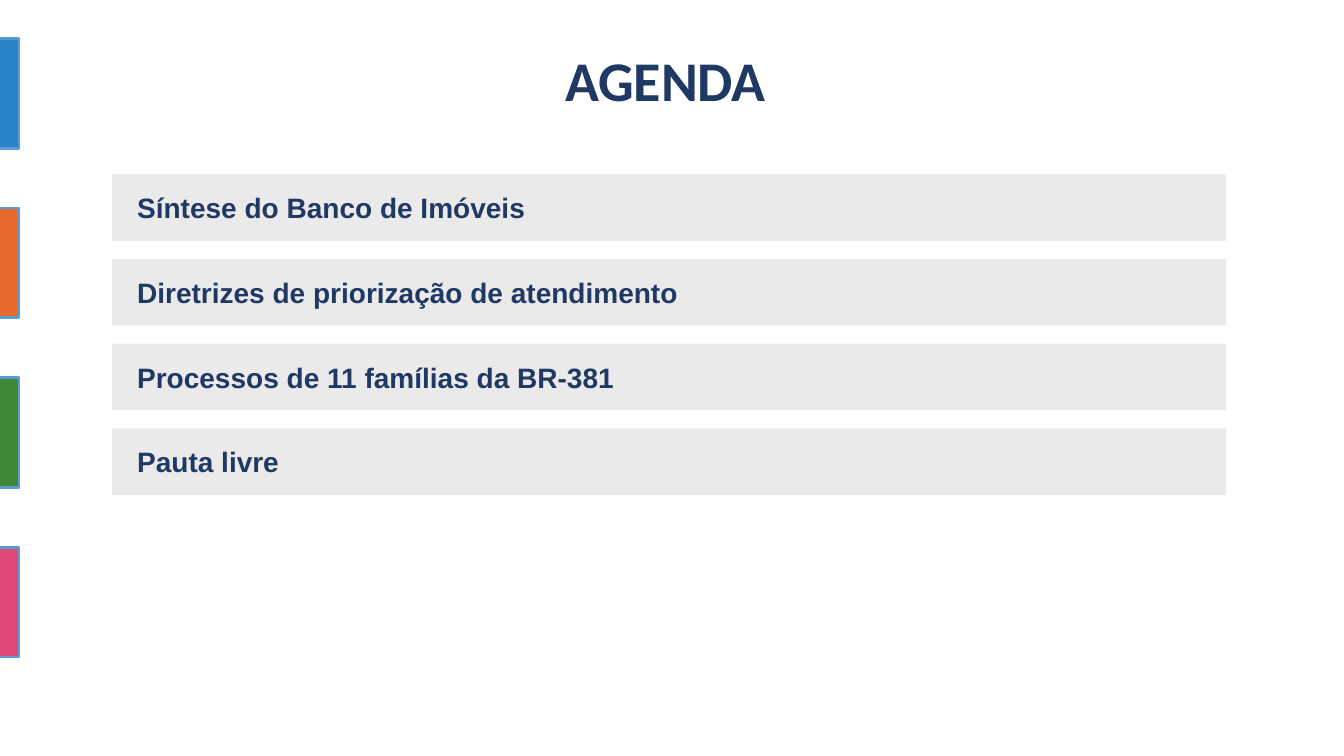
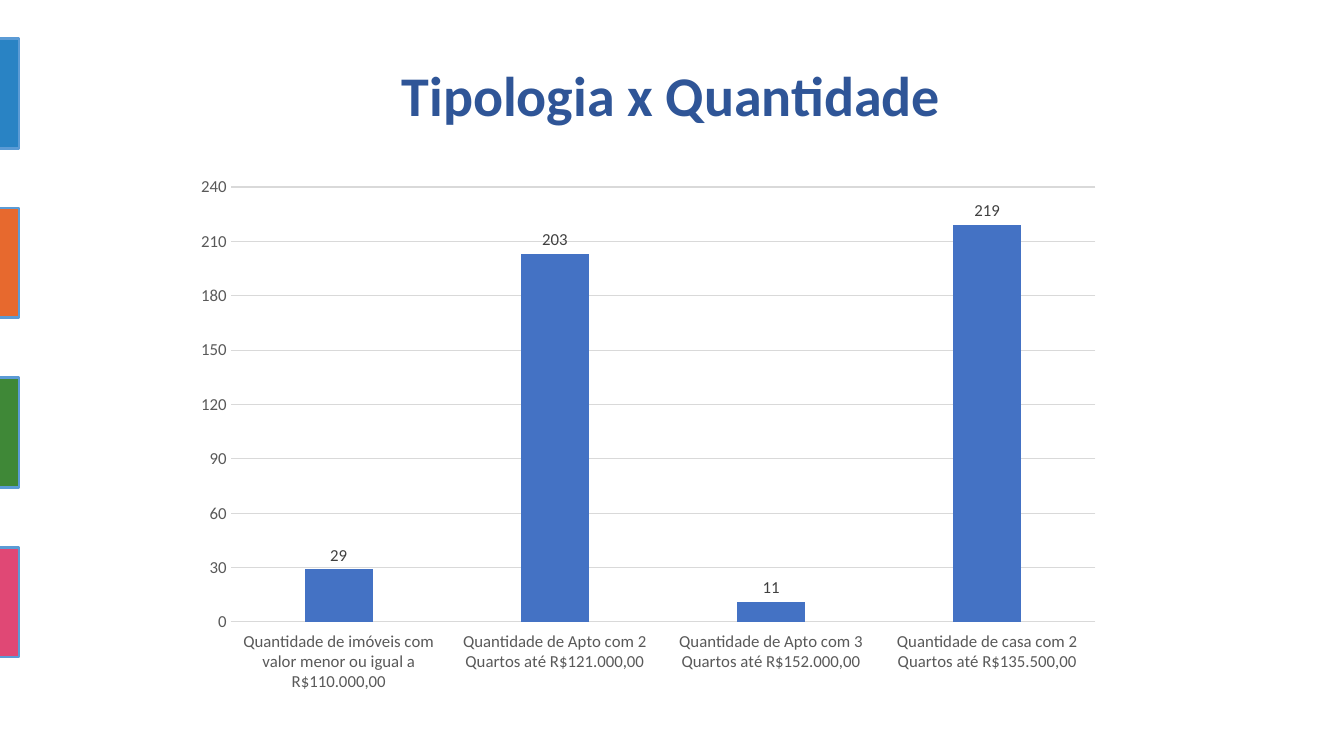
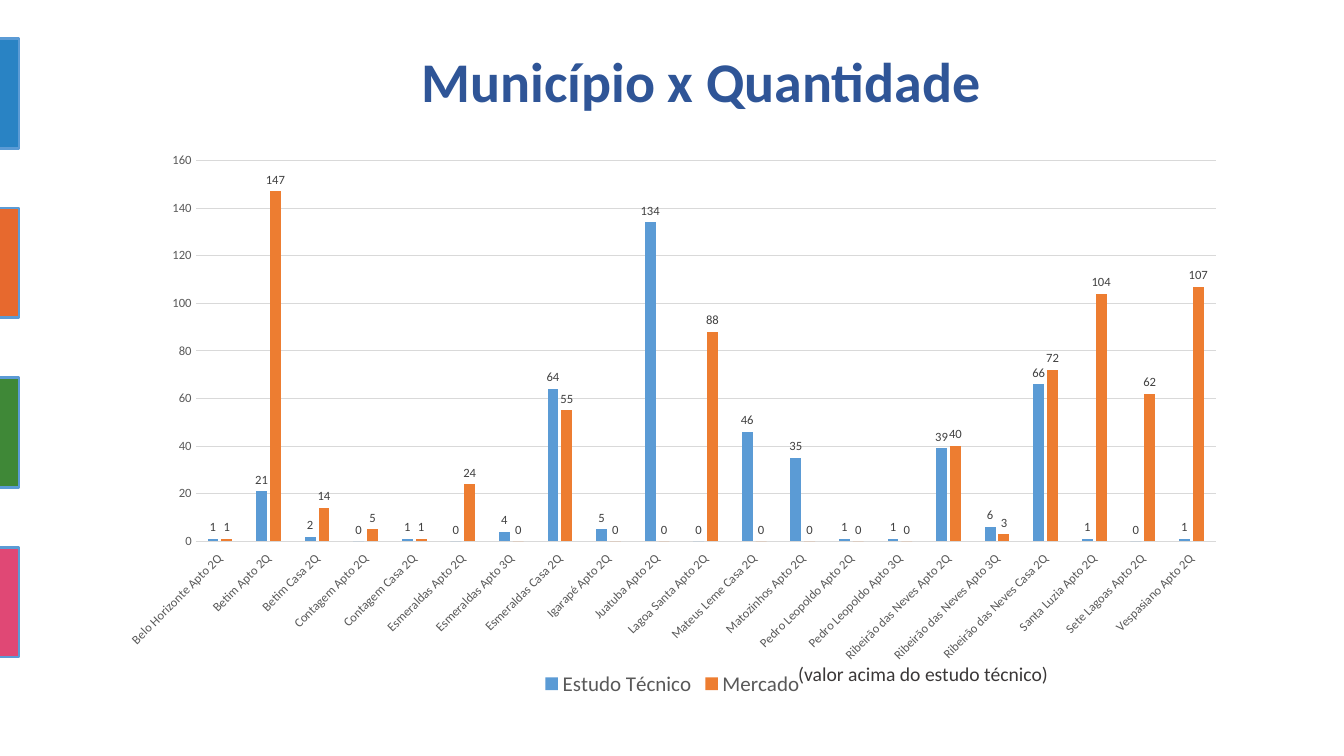
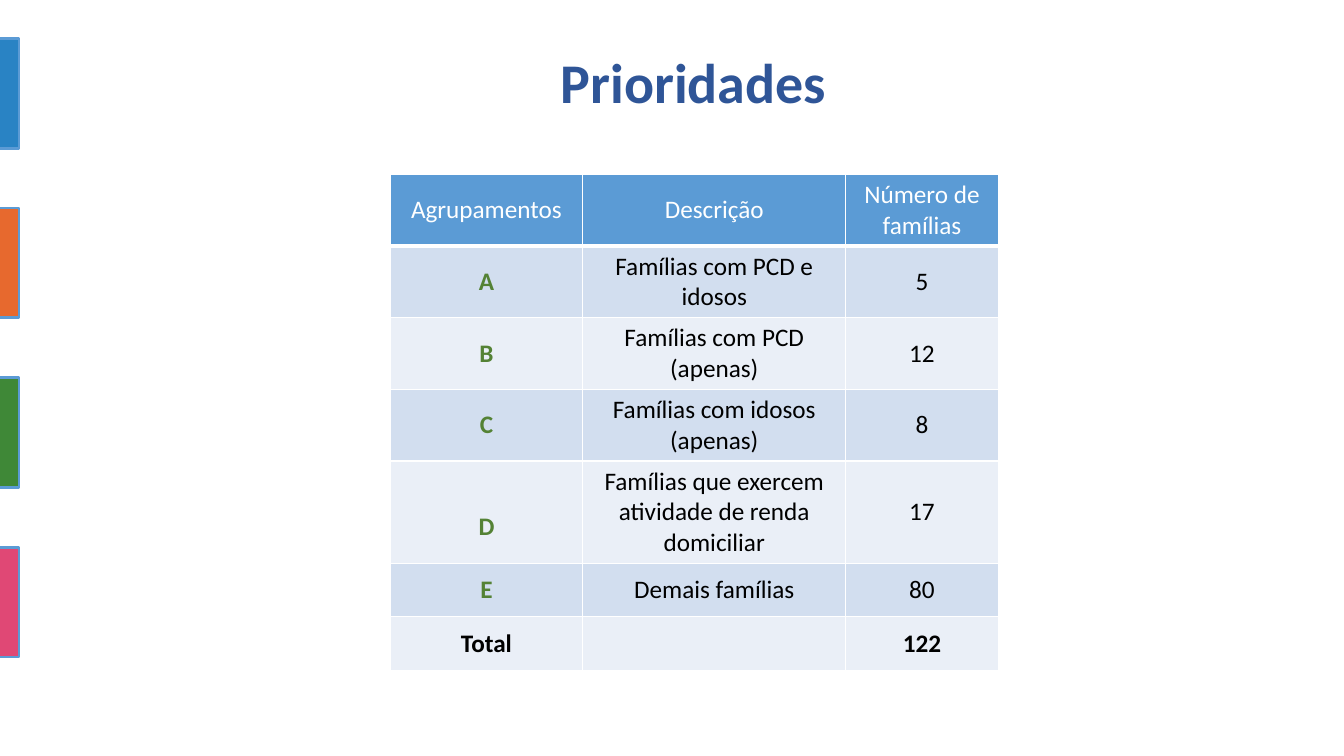
from dataclasses import dataclass
from typing import Optional

from lxml.etree import SubElement
from pptx import Presentation
from pptx.chart.data import CategoryChartData
from pptx.dml.color import RGBColor
from pptx.enum.chart import (XL_CHART_TYPE, XL_LABEL_POSITION, XL_LEGEND_POSITION,
                             XL_TICK_LABEL_POSITION, XL_TICK_MARK)
from pptx.enum.shapes import MSO_SHAPE
from pptx.enum.text import MSO_ANCHOR, MSO_AUTO_SIZE, PP_ALIGN
from pptx.oxml.ns import qn
from pptx.util import Inches, Pt

# Colours and fonts
NAVY = RGBColor(0x20, 0x38, 0x64)
BLUE = RGBColor(0x2F, 0x55, 0x97)
SKY = RGBColor(0x5B, 0x9B, 0xD5)
ROYAL = RGBColor(0x44, 0x72, 0xC4)
ORANGE = RGBColor(0xED, 0x7D, 0x31)
GREEN = RGBColor(0x54, 0x82, 0x35)
WHITE = RGBColor(0xFF, 0xFF, 0xFF)
BLACK = RGBColor(0, 0, 0)
BAR_GREY = RGBColor(0xEA, 0xEA, 0xEA)
GRID_GREY = RGBColor(0xD9, 0xD9, 0xD9)
AXIS_GREY = RGBColor(0x59, 0x59, 0x59)
LABEL_GREY = RGBColor(0x40, 0x40, 0x40)
NOTE_GREY = RGBColor(0x3B, 0x38, 0x38)
ROW_DARK = RGBColor(0xD2, 0xDE, 0xEF)
ROW_LIGHT = RGBColor(0xEA, 0xEF, 0xF7)
BAND_COLORS = (RGBColor(0x29, 0x83, 0xC4), RGBColor(0xE7, 0x69, 0x2E),
               RGBColor(0x3F, 0x88, 0x37), RGBColor(0xE0, 0x48, 0x75))
BODY_FONT, AGENDA_FONT = "Calibri", "Arial"

WIDTH, HEIGHT = Inches(13.33), Inches(7.5)


def across(share: float) -> int:
    """Length for a percentage of the slide's width."""
    return round(WIDTH * share / 100)


def down(share: float) -> int:
    """Length for a percentage of the slide's height."""
    return round(HEIGHT * share / 100)


@dataclass(frozen=True)
class Box:
    """A frame in percentages of the slide's width and height."""
    left: float
    top: float
    width: float
    height: float

    def frame(self) -> tuple:
        return across(self.left), down(self.top), across(self.width), down(self.height)


@dataclass(frozen=True)
class Series:
    name: str
    values: tuple
    color: RGBColor


@dataclass(frozen=True)
class ColumnChart:
    box: Box
    cats: tuple
    series: tuple
    size: int
    major: Optional[int] = None
    legend_size: Optional[int] = None
    plot_area: Optional[tuple] = None
    slanted: bool = False


@dataclass(frozen=True)
class Group:
    label: str
    text: str
    families: str
    height: float
    label_drop: float = 0


# Content
AGENDA = ("Síntese do Banco de Imóveis", "Diretrizes de priorização de atendimento",
          "Processos de 11 famílias da BR-381", "Pauta livre")

TYPOLOGY = ColumnChart(
    Box(13.58, 22, 69.3, 70.93),
    ("Quantidade de imóveis com valor menor ou igual a R$110.000,00",
     "Quantidade de Apto com 2 Quartos até R$121.000,00",
     "Quantidade de Apto com 3 Quartos até R$152.000,00",
     "Quantidade de casa com 2 Quartos até R$135.500,00"),
    (Series("Series 1", (29, 203, 11, 219), ROYAL),),
    size=12, major=30)

TOWNS = ColumnChart(
    Box(8.78, 17.47, 82.5, 75.2),
    ("Belo Horizonte Apto 2Q", "Betim Apto 2Q", "Betim Casa 2Q", "Contagem Apto 2Q",
     "Contagem Casa 2Q", "Esmeraldas Apto 2Q", "Esmeraldas Apto 3Q",
     "Esmeraldas Casa 2Q", "Igarapé Apto 2Q", "Juatuba Apto 2Q",
     "Lagoa Santa Apto 2Q", "Mateus Leme Casa 2Q", "Matozinhos Apto 2Q",
     "Pedro Leopoldo Apto 2Q", "Pedro Leopoldo Apto 3Q",
     "Ribeirão das Neves Apto 2Q", "Ribeirão das Neves Apto 3Q",
     "Ribeirão das Neves Casa 2Q", "Santa Luzia Apto 2Q", "Sete Lagoas Apto 2Q",
     "Vespasiano Apto 2Q"),
    (Series("Estudo Técnico", (1, 21, 2, 0, 1, 0, 4, 64, 5, 134, 0, 46, 35, 1, 1, 39,
                               6, 66, 1, 0, 1), SKY),
     Series("Mercado", (1, 147, 14, 5, 1, 24, 0, 55, 0, 0, 88, 0, 0, 0, 0, 40,
                        3, 72, 104, 62, 107), ORANGE)),
    size=9, legend_size=15, plot_area=(0.07, 0.05, 0.92, 0.67), slanted=True)

TABLE_COLS = (14.33, 19.58, 11.33)
GROUPS = (
    Group("Agrupamentos", "Descrição", "Número de famílias", 9.47),
    Group("A", "Famílias com PCD e idosos", "5", 9.47),
    Group("B", "Famílias com PCD (apenas)", "12", 9.47),
    Group("C", "Famílias com idosos (apenas)", "8", 9.47),
    Group("D", "Famílias que exercem atividade de renda domiciliar", "17", 13.47, 4),
    Group("E", "Demais famílias", "80", 7.07),
    Group("Total", "", "122", 7.07),
)


# Shared parts
def style_font(font, size: float, color: RGBColor, bold: bool = False,
               name: str = BODY_FONT) -> None:
    font.name, font.size, font.bold = name, Pt(size), bold
    font.color.rgb = color


def write(tf, text: str, size: float, color: RGBColor, bold: bool = False,
          align=PP_ALIGN.LEFT, name: str = BODY_FONT):
    p = tf.paragraphs[0]
    p.alignment = align
    r = p.add_run()
    r.text = text
    style_font(r.font, size, color, bold, name)
    return p


def add_rect(s, box: Box, fill: RGBColor):
    sp = s.shapes.add_shape(MSO_SHAPE.RECTANGLE, *box.frame())
    sp.shadow.inherit = False
    sp.fill.solid()
    sp.fill.fore_color.rgb = fill
    sp.line.fill.background()
    return sp


def add_bands(s) -> None:
    """Place the side bands on the layout, so that every slide shows them."""
    for i, color in enumerate(BAND_COLORS):
        sp = add_rect(s, Box(-0.08, 5.07 + 22.44 * i, 1.5, 14.53), color)
        sp.line.color.rgb = SKY
        sp.line.width = Pt(2)
        sp.element.nvSpPr.cNvPr.id = 20 + i
        s.slide_layout.shapes.element.append(sp.element)


def add_slide(prs, title: str, box: Box, color: RGBColor = BLUE):
    s = prs.slides.add_slide(prs.slide_layouts[5])
    sp = s.shapes.title
    sp.left, sp.top, sp.width, sp.height = box.frame()
    tf = sp.text_frame
    tf.auto_size = MSO_AUTO_SIZE.NONE
    tf.word_wrap = False
    tf.vertical_anchor = MSO_ANCHOR.TOP
    write(tf, title, 40, color, True, PP_ALIGN.CENTER)
    return s


# Charts
def style_axis(axis, size: int) -> None:
    axis.major_tick_mark = axis.minor_tick_mark = XL_TICK_MARK.NONE
    style_font(axis.tick_labels.font, size, AXIS_GREY)


def place_plot_area(chart, area: tuple) -> None:
    plot_area = chart.element.xpath("c:chart/c:plotArea")[0]
    layout = plot_area.find(qn("c:layout"))
    if layout is None:
        layout = SubElement(plot_area, qn("c:layout"))
        plot_area.insert(0, layout)
    manual = SubElement(layout, qn("c:manualLayout"))
    settings = [("layoutTarget", "inner"), ("xMode", "edge"), ("yMode", "edge")]
    for tag, value in settings + list(zip("xywh", area)):
        SubElement(manual, qn(f"c:{tag}")).set("val", str(value))


def add_columns(s, spec_chart: ColumnChart) -> None:
    data = CategoryChartData()
    data.categories = spec_chart.cats
    for series in spec_chart.series:
        data.add_series(series.name, series.values)
    chart = s.shapes.add_chart(XL_CHART_TYPE.COLUMN_CLUSTERED,
                               *spec_chart.box.frame(), data).chart
    chart.has_title = False
    style_font(chart.font, 10, BLACK)

    plot = chart.plots[0]
    plot.gap_width, plot.overlap, plot.vary_by_categories = 219, -27, False
    for bars, series in zip(plot.series, spec_chart.series):
        bars.format.fill.solid()
        bars.format.fill.fore_color.rgb = series.color
        labels = bars.data_labels
        labels.show_value = True
        labels.position = XL_LABEL_POSITION.OUTSIDE_END
        style_font(labels.font, spec_chart.size, LABEL_GREY)

    cat, val = chart.category_axis, chart.value_axis
    for axis in (cat, val):
        style_axis(axis, spec_chart.size)
    cat.tick_label_position = XL_TICK_LABEL_POSITION.LOW
    val.minimum_scale = 0
    if spec_chart.major:
        val.major_unit = spec_chart.major
    val.format.line.fill.background()
    for line in (cat.format.line, val.major_gridlines.format.line):
        line.color.rgb = GRID_GREY
        line.width = Pt(0.75)
    if spec_chart.slanted:
        cat.tick_labels.font  # text properties exist from here on
        cat_body = chart.element.xpath(".//c:catAx/c:txPr/a:bodyPr")[0]
        cat_body.set("rot", str(-45 * 60000))

    chart.has_legend = spec_chart.legend_size is not None
    if chart.has_legend:
        chart.legend.position = XL_LEGEND_POSITION.BOTTOM
        chart.legend.include_in_layout = False
        style_font(chart.legend.font, spec_chart.legend_size, AXIS_GREY)
    if spec_chart.plot_area:
        place_plot_area(chart, spec_chart.plot_area)


# Table
def border_cell(cell, bottom: float) -> None:
    tc_pr = cell.fill and cell._tc.get_or_add_tcPr()
    for i, (side, width) in enumerate(zip("LRTB", (1, 1, 1, bottom))):
        ln = SubElement(tc_pr, qn(f"a:ln{side}"), w=str(Pt(width)))
        SubElement(SubElement(ln, qn("a:solidFill")), qn("a:srgbClr"), val=str(WHITE))
        tc_pr.insert(i, ln)


def add_groups(s, left: float, top: float) -> None:
    box = Box(left, top, sum(TABLE_COLS), sum(g.height for g in GROUPS))
    table = s.shapes.add_table(len(GROUPS), len(TABLE_COLS), *box.frame()).table
    for col, width in zip(table.columns, TABLE_COLS):
        col.width = across(width)
    last = len(GROUPS) - 1
    for i, group in enumerate(GROUPS):
        table.rows[i].height = down(group.height)
        head, total = i == 0, i == last
        fill = SKY if head else ROW_DARK if i % 2 else ROW_LIGHT
        for j, text in enumerate((group.label, group.text, group.families)):
            cell = table.cell(i, j)
            cell.vertical_anchor = MSO_ANCHOR.MIDDLE
            cell.fill.solid()
            cell.fill.fore_color.rgb = fill
            border_cell(cell, 3 if head else 1)
            letter = j == 0 and not head and not total
            color = WHITE if head else GREEN if letter else BLACK
            if text:
                write(cell.text_frame, text, 18, color, letter or total, PP_ALIGN.CENTER)
            if letter and group.label_drop:
                cell.margin_top = Inches(0.05) + down(group.label_drop)


# Slides
def agenda_slide(prs) -> None:
    s = add_slide(prs, "AGENDA", Box(26.86, 5.33, 45.31, 10.27), NAVY)
    add_bands(s)
    for i, text in enumerate(AGENDA):
        sp = add_rect(s, Box(8.33, 23.07 + 11.2 * i, 82.9, 8.8), BAR_GREY)
        tf = sp.text_frame
        tf.word_wrap = True
        tf.vertical_anchor = MSO_ANCHOR.MIDDLE
        tf.margin_left = Inches(0.25)
        p = write(tf, text, 20, NAVY, True, name=AGENDA_FONT)
        p.space_before = Pt(4)


def typology_slide(prs) -> None:
    s = add_slide(prs, "Tipologia x Quantidade", Box(28.88, 7.33, 42.08, 10.27))
    add_columns(s, TYPOLOGY)


def towns_slide(prs) -> None:
    s = add_slide(prs, "Município x Quantidade", Box(24.45, 5.47, 55.43, 10.27))
    add_columns(s, TOWNS)
    note = s.shapes.add_textbox(*Box(58.65, 86.93, 28.13, 4.53).frame())
    note.text_frame.word_wrap = True
    write(note.text_frame, "(valor acima do estudo técnico)", 14, NOTE_GREY)


def priorities_slide(prs) -> None:
    s = add_slide(prs, "Prioridades", Box(24.15, 5.6, 54.9, 10.27))
    add_groups(s, 29.03, 23.07)


def main() -> None:
    prs = Presentation()
    prs.slide_width, prs.slide_height = WIDTH, HEIGHT
    for build in (agenda_slide, typology_slide, towns_slide, priorities_slide):
        build(prs)
    prs.save("out.pptx")


if __name__ == "__main__":
    main()
